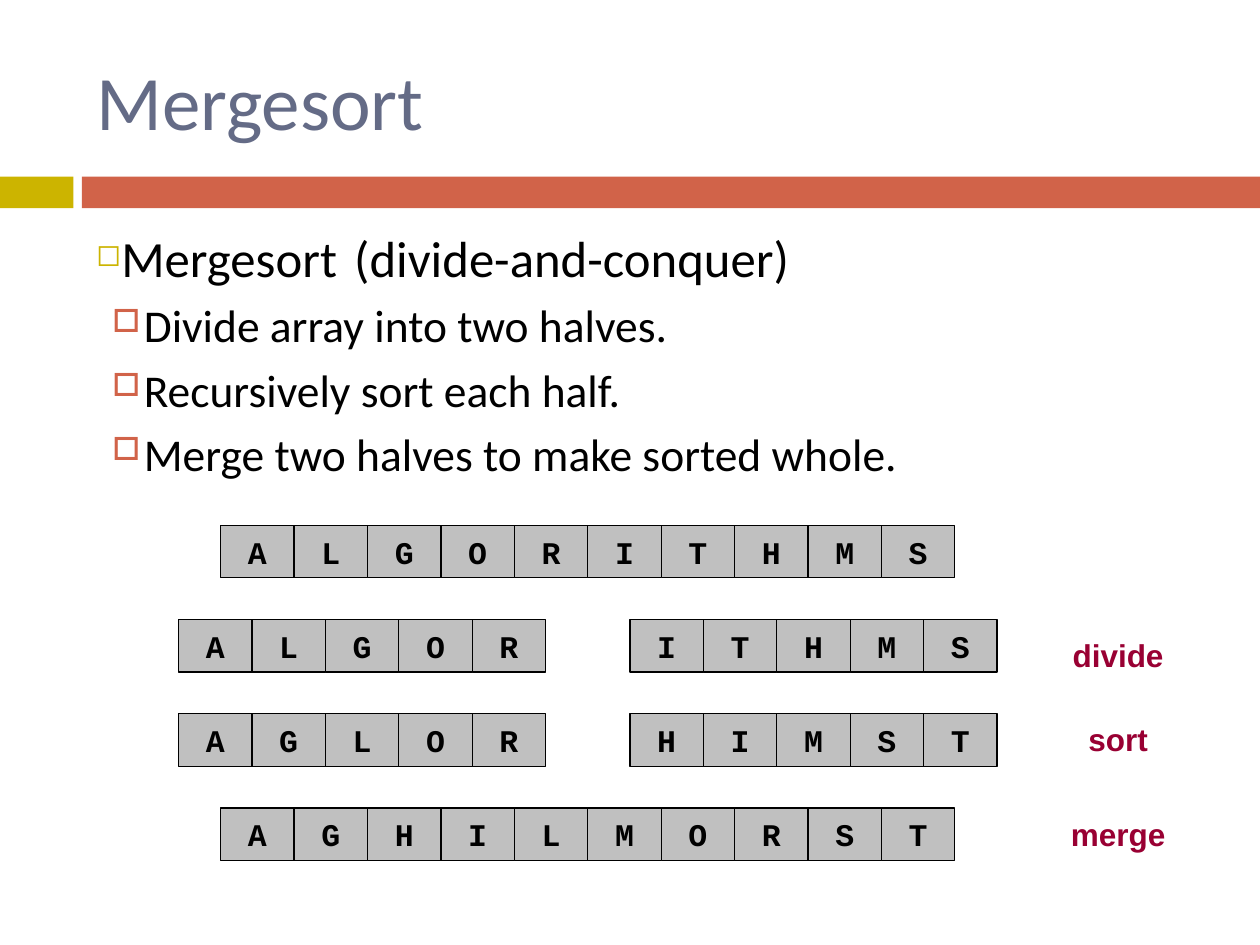
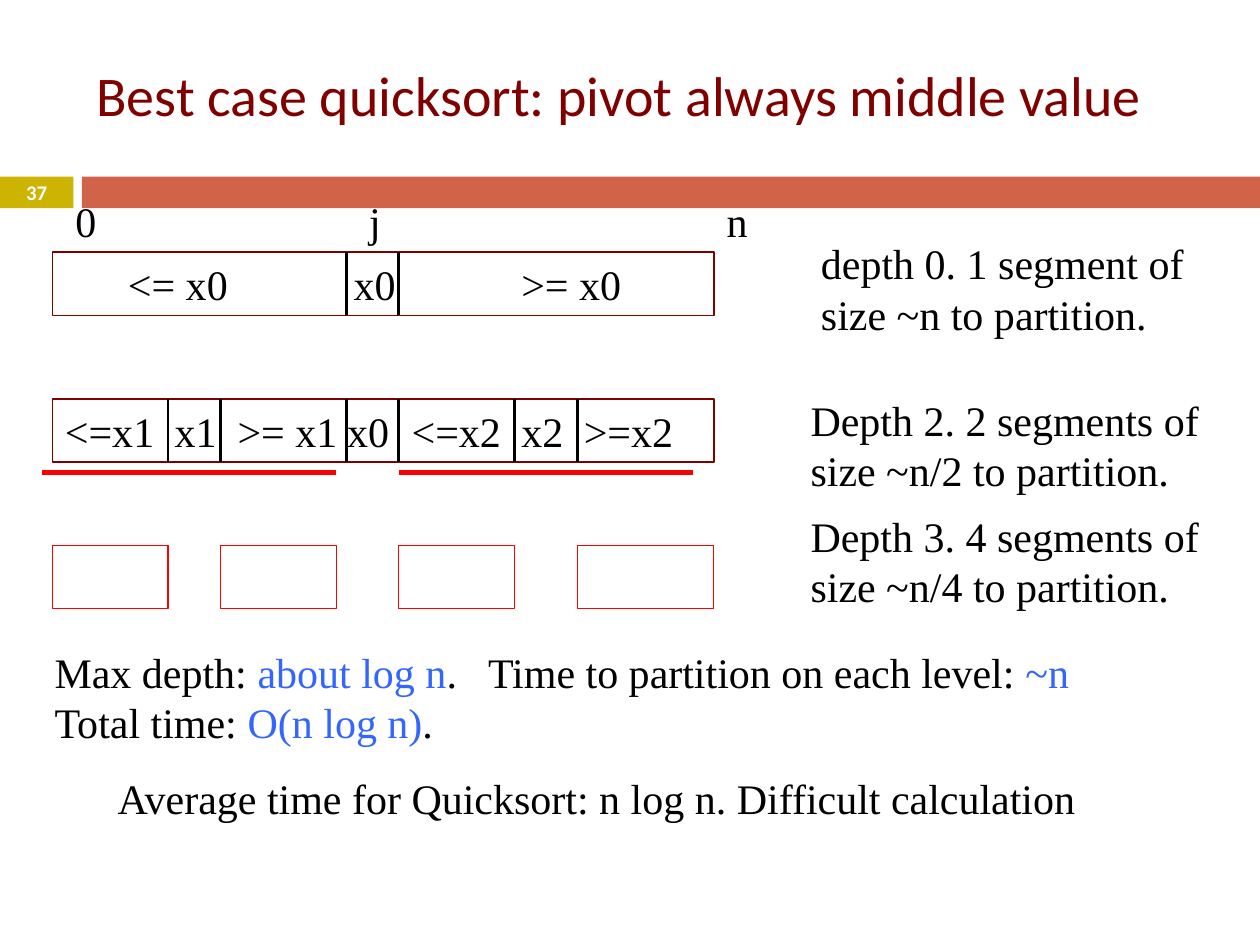
from dataclasses import dataclass

from lxml import etree
from pptx import Presentation
from pptx.dml.color import RGBColor
from pptx.enum.shapes import MSO_CONNECTOR, MSO_SHAPE
from pptx.enum.text import MSO_ANCHOR, MSO_AUTO_SIZE, PP_ALIGN
from pptx.oxml.ns import qn
from pptx.util import Cm, Pt

RECTANGLE = MSO_SHAPE.RECTANGLE
STRAIGHT = MSO_CONNECTOR.STRAIGHT
TOP, MIDDLE = MSO_ANCHOR.TOP, MSO_ANCHOR.MIDDLE
LEFT, CENTER = PP_ALIGN.LEFT, PP_ALIGN.CENTER
FIXED = MSO_AUTO_SIZE.NONE
TITLE_ONLY = 5


@dataclass(frozen=True)
class Theme:
    black: str = "000000"
    white: str = "FFFFFF"
    gold: str = "CCB400"
    rust: str = "D16349"
    slate: str = "646B86"
    maroon: str = "800000"
    crimson: str = "990033"
    red: str = "FF0000"
    blue: str = "3366FF"
    gray: str = "C0C0C0"
    heading: str = "Calibri"
    label: str = "Arial"
    code: str = "Courier New"
    prose: str = "Times New Roman"
    title_size: float = 44
    long_title_size: float = 32
    lead_size: float = 29
    point_size: float = 26
    prose_size: float = 24
    cell_size: float = 18
    number_size: float = 11.9


THEME = Theme()
PROSE = {"name": THEME.prose, "size": Pt(THEME.prose_size)}
CELL = {"name": THEME.code, "size": Pt(THEME.cell_size), "bold": True}
STEP = {"name": THEME.label, "size": Pt(THEME.cell_size), "bold": True}
NUMBER = {"name": THEME.heading, "size": Pt(THEME.number_size), "bold": True}
LEAD = {"name": THEME.heading, "size": Pt(THEME.lead_size)}
POINT = {"name": THEME.heading, "size": Pt(THEME.point_size)}


def lengths(*values):
    return [Cm(value) for value in values]


class Painter:
    def __init__(self, deck, theme):
        self.deck = deck
        self.theme = theme
        self.page = None

    def start(self, title, place, size, color):
        self.page = self.deck.slides.add_slide(self.deck.slide_layouts[TITLE_ONLY])
        self.rectangle((0, 3.56, 1.48, 0.64), fill=self.theme.gold)
        self.rectangle((1.65, 3.56, 23.75, 0.64), fill=self.theme.rust)
        box = self.page.shapes.title
        box.left, box.top, box.width, box.height = lengths(*place)
        self.frame(box, MIDDLE)
        style = {"name": self.theme.heading, "size": Pt(size)}
        self.fill_para(box.text_frame.paragraphs[0], [(title, color)], style)

    def frame(self, box, anchor, wrap=True):
        settings = {"word_wrap": wrap, "auto_size": FIXED, "vertical_anchor": anchor}
        for name, value in settings.items():
            setattr(box.text_frame, name, value)

    def fill_para(self, para, spans, style, align=LEFT, tabs=()):
        para.alignment = align
        for text, color in spans:
            span = para.add_run()
            span.text = text
            for name, value in style.items():
                setattr(span.font, name, value)
            span.font.color.rgb = RGBColor.from_string(color)
        if tabs:
            stops = etree.SubElement(para._p.get_or_add_pPr(), qn("a:tabLst"))
            for position in tabs:
                etree.SubElement(stops, qn("a:tab"), pos=str(Cm(position)), algn="l")

    def rectangle(self, place, fill=None, line=None, weight=0.75):
        box = self.page.shapes.add_shape(RECTANGLE, *lengths(*place))
        box.shadow.inherit = False
        if fill:
            box.fill.solid()
            box.fill.fore_color.rgb = RGBColor.from_string(fill)
        else:
            box.fill.background()
        if line:
            box.line.color.rgb = RGBColor.from_string(line)
            box.line.width = Pt(weight)
        else:
            box.line.fill.background()
        return box

    def text(self, place, paragraphs, style, align=LEFT, anchor=TOP, tabs=()):
        box = self.page.shapes.add_textbox(*lengths(*place))
        self.frame(box, anchor)
        for index, spans in enumerate(paragraphs):
            para = box.text_frame.add_paragraph() if index else box.text_frame.paragraphs[0]
            self.fill_para(para, spans, style, align, tabs)

    def note(self, place, text, tabs=()):
        self.text(place, [[(text, self.theme.black)]], PROSE, tabs=tabs)

    def bullet(self, para, mark, color, percent, margin=0, indent=0):
        properties = para._p.get_or_add_pPr()
        properties.set("marL", str(Cm(margin)))
        properties.set("indent", str(Cm(indent)))
        tint = etree.SubElement(properties, qn("a:buClr"))
        etree.SubElement(tint, qn("a:srgbClr"), val=color)
        etree.SubElement(properties, qn("a:buSzPct"), val=str(percent * 1000))
        etree.SubElement(properties, qn("a:buChar"), char=mark)

    def outline(self, place, lead, points, lead_tabs):
        box = self.page.shapes.add_textbox(*lengths(*place))
        self.frame(box, TOP)
        para = box.text_frame.paragraphs[0]
        para.space_before = Pt(7)
        self.bullet(para, "\u25fb", self.theme.gold, 60)
        self.fill_para(para, [(lead, self.theme.black)], LEAD, tabs=lead_tabs)
        for point in points:
            para = box.text_frame.add_paragraph()
            para.level = 1
            para.space_before = Pt(5.5)
            self.bullet(para, "\u25a1", self.theme.rust, 70, 0.96, -0.64)
            self.fill_para(para, [(point, self.theme.black)], POINT)

    def array(self, left, top, letters):
        width, height = 1.48, 1.06
        for index, letter in enumerate(letters):
            place = (left + index * width, top, width, height)
            box = self.rectangle(place, self.theme.gray, self.theme.black)
            self.frame(box, MIDDLE, wrap=False)
            para = box.text_frame.paragraphs[0]
            self.fill_para(para, [(letter, self.theme.black)], CELL, CENTER)

    def line(self, start, end, color, weight):
        stroke = self.page.shapes.add_connector(STRAIGHT, *lengths(*start, *end))
        stroke.line.color.rgb = RGBColor.from_string(color)
        stroke.line.width = Pt(weight)
        etree.SubElement(stroke._element.spPr, qn("a:effectLst"))

    def segments(self, top, text, tabs, dividers):
        box = self.rectangle((1.06, top, 13.34, 1.28), line=self.theme.maroon, weight=1)
        self.frame(box, TOP)
        para = box.text_frame.paragraphs[0]
        self.fill_para(para, [(text, self.theme.black)], PROSE, tabs=tabs)
        for left in dividers:
            self.line((left, top), (left, top + 1.27), self.theme.black, 1.5)


def mergesort(painter):
    theme = painter.theme
    painter.start("Mergesort", (1.69, 0.64, 22.66, 2.75), theme.title_size, theme.slate)
    painter.outline(
        (1.69, 4.45, 22.66, 5.6),
        "Mergesort\t(divide-and-conquer)",
        [
            "Divide array into two halves.",
            "Recursively sort each half.",
            "Merge two halves to make sorted whole.",
        ],
        [5.2],
    )
    whole, first, second = 4.45, 3.6, 12.7
    rows = [
        [(whole, "ALGORITHMS")],
        [(first, "ALGOR"), (second, "ITHMS")],
        [(first, "AGLOR"), (second, "HIMST")],
        [(whole, "AGHILMORST")],
    ]
    for index, row in enumerate(rows):
        for left, letters in row:
            painter.array(left, 10.59 + 1.9 * index, letters)
    for step, top in (("divide", 12.7), ("sort", 14.39), ("merge", 16.3)):
        painter.text((20.53, top, 4.02, 1.02), [[(step, theme.crimson)]], STEP, CENTER)


def quicksort(painter):
    theme = painter.theme
    painter.start(
        "Best case quicksort: pivot always middle value",
        (1.69, 1.06, 22.66, 1.69),
        theme.long_title_size,
        theme.maroon,
    )
    painter.text((0, 3.53, 1.48, 0.69), [[("37", theme.white)]], NUMBER, CENTER, MIDDLE)

    pivot = [6.99, 8.04]
    painter.segments(5.08, "\t<= x0\tx0\t>= x0", [1.27, 5.82, 9.2], pivot)
    painter.note((1.27, 3.81, 14.17, 1.29), "0\tj\tn", [5.92, 13.13])
    painter.segments(
        8.04,
        "<=x1\tx1\t>= x1\tx0\t<=x2\tx2\t>=x2",
        [2.21, 3.48, 5.69, 6.99, 9.2, 10.46],
        [3.39, 4.45, *pivot, 10.37, 11.64],
    )
    for left in (0.85, 8.04):
        painter.line((left, 9.53), (left + 5.93, 9.53), theme.red, 3)
    for left, width in ((1.06, 2.33), (4.45, 2.33), (8.04, 2.33), (11.64, 2.75)):
        painter.rectangle((left, 11, width, 1.27), line=theme.red)

    painter.note((16.3, 4.67, 8.47, 2.31), "depth 0. 1 segment of size ~n to partition.")
    painter.note((16.09, 7.83, 8.89, 2.31), "Depth 2. 2 segments of size ~n/2 to partition.")
    painter.note((16.09, 10.16, 8.89, 2.31), "Depth 3. 4 segments of size ~n/4 to partition.")
    summary = [
        [
            ("Max depth: ", theme.black),
            ("about log n", theme.blue),
            (".\tTime to partition on each level: ", theme.black),
            ("~n", theme.blue),
        ],
        [("Total time: ", theme.black), ("O(n log n)", theme.blue), (".", theme.black)],
    ]
    painter.text((0.85, 12.91, 21.18, 2.31), summary, PROSE, tabs=[8.74])
    painter.note(
        (2.12, 15.45, 20.07, 1.29),
        "Average time for Quicksort: n log n. Difficult calculation",
    )


deck = Presentation()
deck.slide_width, deck.slide_height = lengths(25.4, 19.05)
painter = Painter(deck, THEME)
mergesort(painter)
quicksort(painter)
deck.save("out.pptx")
